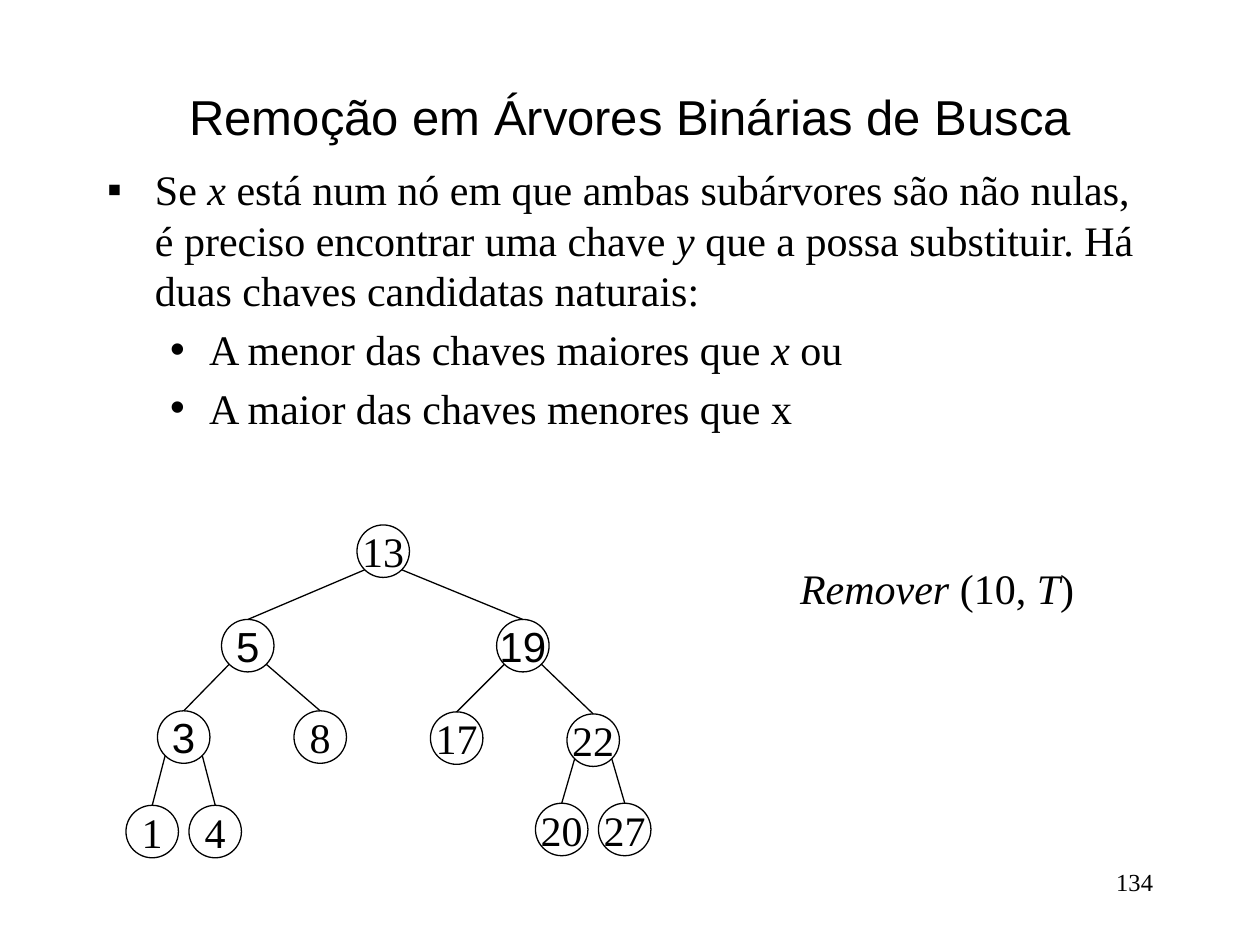
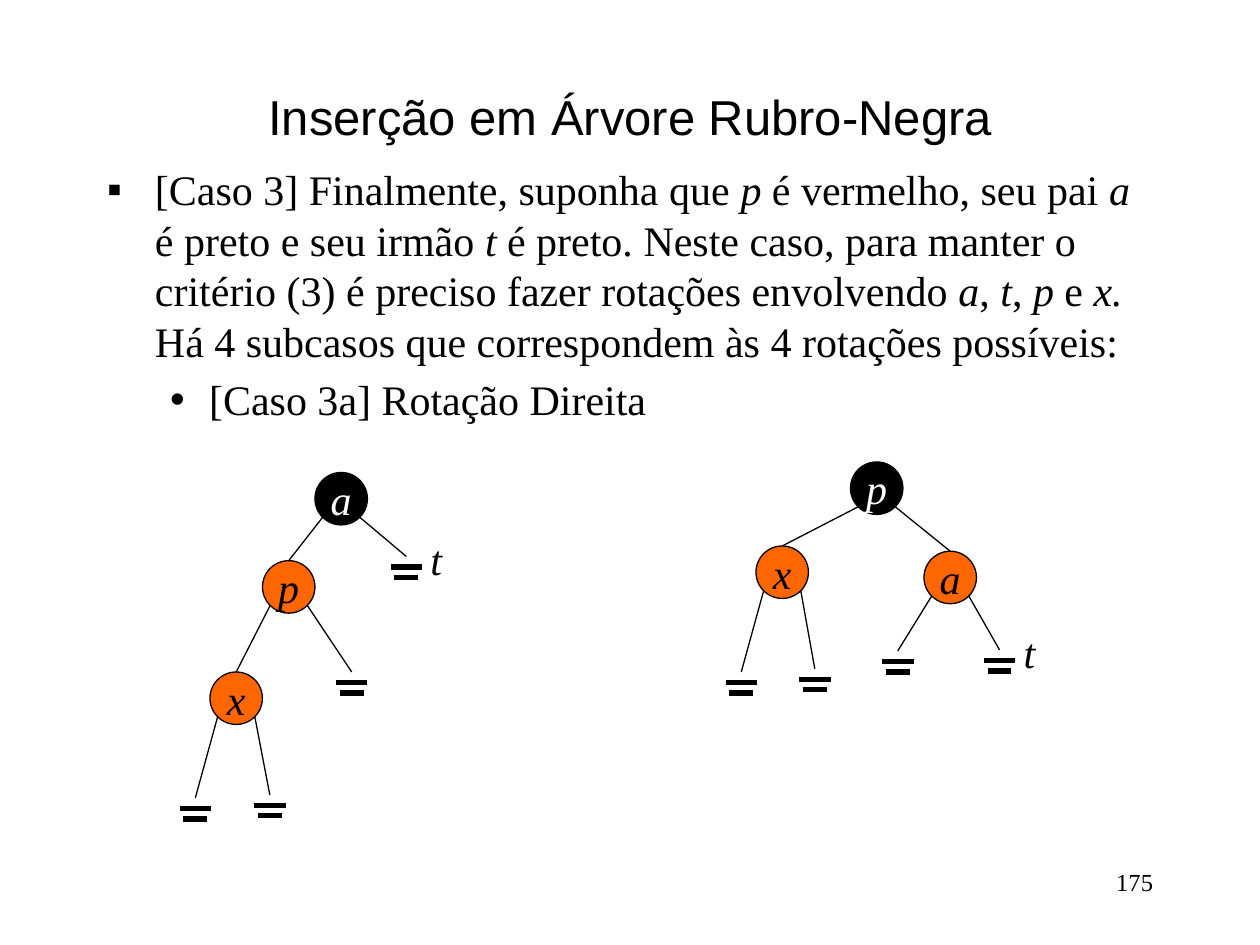
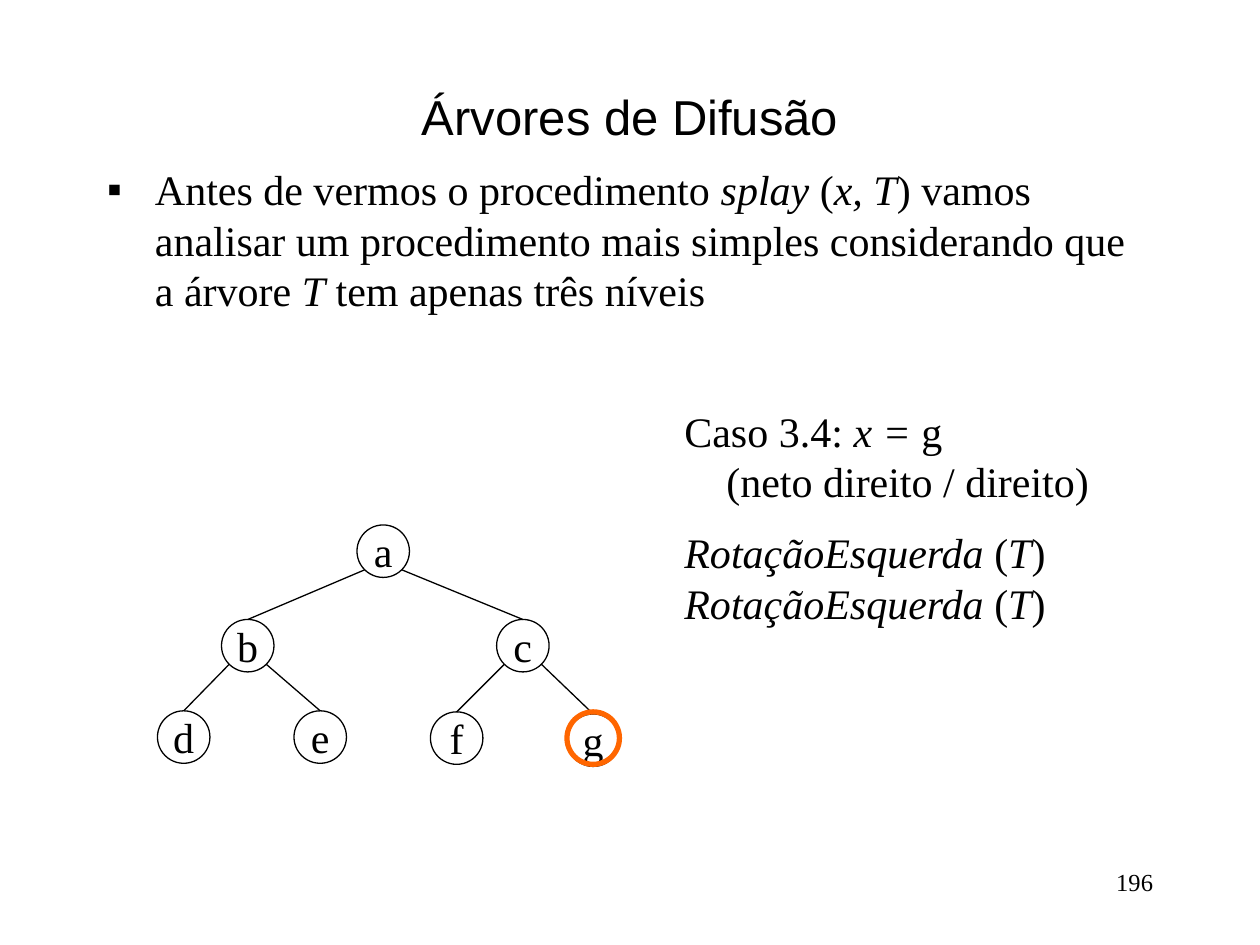
import dataclasses

import lxml.etree
import pptx
import pptx.dml.color
import pptx.enum.shapes
import pptx.enum.text
import pptx.oxml.ns
import pptx.util

BLACK = pptx.dml.color.RGBColor(0x00, 0x00, 0x00)
WHITE = pptx.dml.color.RGBColor(0xFF, 0xFF, 0xFF)
ORANGE = pptx.dml.color.RGBColor(0xFF, 0x66, 0x00)
SERIF = "Times New Roman"
SANS = "Arial"
COLUMNS, ROWS = 120, 90
CELL = pptx.util.Inches(10) // COLUMNS
NODE_SIZE = 5
EDGE_OFFSET = 1.77
TEXT_SIZE = 24
ALIGN = pptx.enum.text.PP_ALIGN
ANCHOR = pptx.enum.text.MSO_ANCHOR
BULLETS = [("▪", 0.38, 0.38), ("•", 0.81, 0.31)]

TITLE_BOX = (9, 8, 102, 6)
BODY_BOX = (9, 15, 102, 65)
NUMBER_BOX = (86, 82, 25, 6)
SEARCH_TREE_BOX = (12, 50, 51, 32)
BEFORE_BOX = (12, 41, 20, 38)
AFTER_BOX = (69, 41, 30, 38)
CALL_BOX = (75, 53, 28.5, 6)
CASE_BOX = (64, 38, 54, 30)


@dataclasses.dataclass
class Node:
    label: str
    x: float
    y: float
    parent: int = None
    font: str = SERIF
    fill: pptx.dml.color.RGBColor = None
    color: pptx.dml.color.RGBColor = BLACK
    italic: bool = False


@dataclasses.dataclass
class Leaf:
    parent: int
    x: float
    y: float
    label: str = ""


def cells(*lengths):
    return [round(length * CELL) for length in lengths]


def add_runs(para, marked_text, size=TEXT_SIZE, font=SERIF, color=BLACK):
    for index, words in enumerate(marked_text.split("*")):
        if words:
            span = para.add_run()
            span.text = words
            span.font.size = pptx.util.Pt(size)
            span.font.name = font
            span.font.color.rgb = color
            span.font.italic = index % 2 == 1


def set_bullet(para, level):
    mark, margin, hanging = BULLETS[level]
    para.level = level
    properties = para._p.get_or_add_pPr()
    properties.set("marL", str(pptx.util.Inches(margin)))
    properties.set("indent", str(-pptx.util.Inches(hanging)))
    for tag, key, value in (("a:buFont", "typeface", SANS), ("a:buChar", "char", mark)):
        lxml.etree.SubElement(properties, pptx.oxml.ns.qn(tag)).set(key, value)


def place(shape, box):
    shape.left, shape.top, shape.width, shape.height = cells(*box)
    frame = shape.text_frame
    frame.auto_size = pptx.enum.text.MSO_AUTO_SIZE.NONE
    frame.word_wrap = True
    return frame


def add_page(deck, title, items, number):
    page = deck.slides.add_slide(deck.slide_layouts[1])
    heading = place(page.shapes.title, TITLE_BOX)
    heading.vertical_anchor = ANCHOR.MIDDLE
    heading.paragraphs[0].alignment = ALIGN.CENTER
    add_runs(heading.paragraphs[0], title, 28, SANS)
    body = place(page.placeholders[1], BODY_BOX)
    for index, (level, words) in enumerate(items):
        para = body.add_paragraph() if index else body.paragraphs[0]
        para.space_before = pptx.util.Pt(4.8 if index else 0)
        set_bullet(para, level)
        add_runs(para, words)
    add_label(page, NUMBER_BOX, str(number), ALIGN.RIGHT, 14)
    return page


def add_label(page, box, words, align=ALIGN.CENTER, size=TEXT_SIZE):
    frame = page.shapes.add_textbox(*cells(*box)).text_frame
    frame.word_wrap = align != ALIGN.CENTER
    frame.paragraphs[0].alignment = align
    add_runs(frame.paragraphs[0], words, size)


def add_line(page, start, end, width=0.75):
    line = page.shapes.add_connector(
        pptx.enum.shapes.MSO_CONNECTOR.STRAIGHT, *cells(*start, *end))
    line.line.color.rgb = BLACK
    line.line.width = pptx.util.Pt(width)
    lxml.etree.SubElement(line._element.spPr, pptx.oxml.ns.qn("a:effectLst"))


def add_circle(page, x, y, fill=None, line=BLACK, width=0.75):
    circle = page.shapes.add_shape(
        pptx.enum.shapes.MSO_SHAPE.OVAL,
        *cells(x - NODE_SIZE / 2, y - NODE_SIZE / 2, NODE_SIZE, NODE_SIZE))
    circle.shadow.inherit = False
    if fill is None:
        circle.fill.background()
    else:
        circle.fill.solid()
        circle.fill.fore_color.rgb = fill
    circle.line.color.rgb = line
    circle.line.width = pptx.util.Pt(width)
    return circle


def add_edge(page, box, parent, x, y):
    side = EDGE_OFFSET if box[0] + parent.x < x else -EDGE_OFFSET
    start = (box[0] + parent.x + side, box[1] + parent.y + EDGE_OFFSET)
    add_line(page, start, (x, y))


def add_tree(page, box, nodes, leaves=()):
    left, top = box[:2]
    for node in nodes:
        x, y = left + node.x, top + node.y
        frame = add_circle(page, x, y, node.fill).text_frame
        frame.word_wrap = False
        frame.vertical_anchor = ANCHOR.MIDDLE
        frame.paragraphs[0].alignment = ALIGN.CENTER
        words = f"*{node.label}*" if node.italic else node.label
        add_runs(frame.paragraphs[0], words, font=node.font, color=node.color)
        if node.parent is not None:
            add_edge(page, box, nodes[node.parent], x, y - NODE_SIZE / 2)
    for leaf in leaves:
        x, y = left + leaf.x, top + leaf.y
        add_edge(page, box, nodes[leaf.parent], x, y)
        for drop, half in ((1, 1.5), (2, 1.13)):
            add_line(page, (x - half, y + drop), (x + half, y + drop), 3)
        if leaf.label:
            add_label(page, (x + 1.1, y - 2.8, 3.5, 6), f"*{leaf.label}*")


def search_tree(labels, sans=()):
    spots = [(24.5, 2.5, None), (11.6, 11.5, 0), (37.8, 11.5, 0), (5.5, 20.2, 1),
             (18.5, 20.2, 1), (31.5, 20.3, 2), (44.5, 20.5, 2), (2.5, 29.2, 3),
             (8.5, 29.2, 3), (41.5, 29, 6), (47.5, 29, 6)]
    return [Node(label, *spot, font=SANS if label in sans else SERIF)
            for label, spot in zip(labels, spots)]


def black_node(label, x, y):
    return Node(label, x, y, None, fill=BLACK, color=WHITE, italic=True)


def red_node(label, x, y, parent):
    return Node(label, x, y, parent, fill=ORANGE, italic=True)


def build_removal(deck):
    page = add_page(deck, "Remoção em Árvores Binárias de Busca", [
        (0, "Se *x* está num nó em que ambas subárvores são não nulas, é preciso "
            "encontrar uma chave *y* que a possa substituir. Há duas chaves "
            "candidatas naturais:"),
        (1, "A menor das chaves maiores que *x *ou"),
        (1, "A maior das chaves menores que x"),
    ], 134)
    add_label(page, CALL_BOX, "*Remover* (10, *T*)")
    labels = ["13", "5", "19", "3", "8", "17", "22", "1", "4", "20", "27"]
    add_tree(page, SEARCH_TREE_BOX, search_tree(labels, ("5", "19", "3")))


def build_insertion(deck):
    page = add_page(deck, "Inserção em Árvore Rubro-Negra", [
        (0, "[Caso 3] Finalmente, suponha que *p* é vermelho, seu pai *a *é preto e "
            "seu irmão *t* é preto. Neste caso, para manter o critério (3) é preciso "
            "fazer rotações envolvendo *a*, *t*, *p* e *x. *Há 4 subcasos que "
            "correspondem às 4 rotações possíveis:"),
        (1, "[Caso 3a] Rotação Direita"),
    ], 175)
    add_tree(page, BEFORE_BOX,
             [black_node("a", 20.5, 6.5), red_node("p", 15.5, 14.9, 0),
              red_node("x", 10.5, 25.5, 1)],
             [Leaf(0, 26.7, 12, "t"), Leaf(1, 21.5, 23),
              Leaf(2, 6.6, 35), Leaf(2, 13.7, 34.7)])
    add_tree(page, AFTER_BOX,
             [black_node("p", 14.5, 5.5), red_node("x", 5.5, 13.5, 0),
              red_node("a", 21.5, 14, 0)],
             [Leaf(1, 1.6, 23), Leaf(1, 8.6, 22.7),
              Leaf(2, 16.5, 21), Leaf(2, 26.2, 20.9, "t")])


def build_splay(deck):
    page = add_page(deck, "Árvores de Difusão", [
        (0, "Antes de vermos o procedimento *splay *(*x, T*) vamos analisar um "
            "procedimento mais simples considerando que a árvore *T* tem apenas "
            "três níveis"),
    ], 196)
    add_tree(page, SEARCH_TREE_BOX, search_tree("abcdefg"))
    add_circle(page, SEARCH_TREE_BOX[0] + 44.5, SEARCH_TREE_BOX[1] + 20.3,
               line=ORANGE, width=3)
    add_case(page, CASE_BOX)


def add_case(page, box):
    frame = page.shapes.add_textbox(*cells(*box)).text_frame
    frame.word_wrap = True
    rows = [("Caso 3.4: *x = *g", 0, 0), ("(neto direito / direito)", 4, 0),
            ("*RotaçãoEsquerda *(*T*)", 0, 12), ("*RotaçãoEsquerda *(*T*)", 0, 0)]
    for index, (words, indent, space) in enumerate(rows):
        para = frame.add_paragraph() if index else frame.paragraphs[0]
        para.space_before = pptx.util.Pt(space)
        para._p.get_or_add_pPr().set("marL", str(indent * CELL))
        add_runs(para, words)


def main():
    deck = pptx.Presentation()
    deck.slide_width, deck.slide_height = cells(COLUMNS, ROWS)
    build_removal(deck)
    build_insertion(deck)
    build_splay(deck)
    deck.save("out.pptx")


if __name__ == "__main__":
    main()
